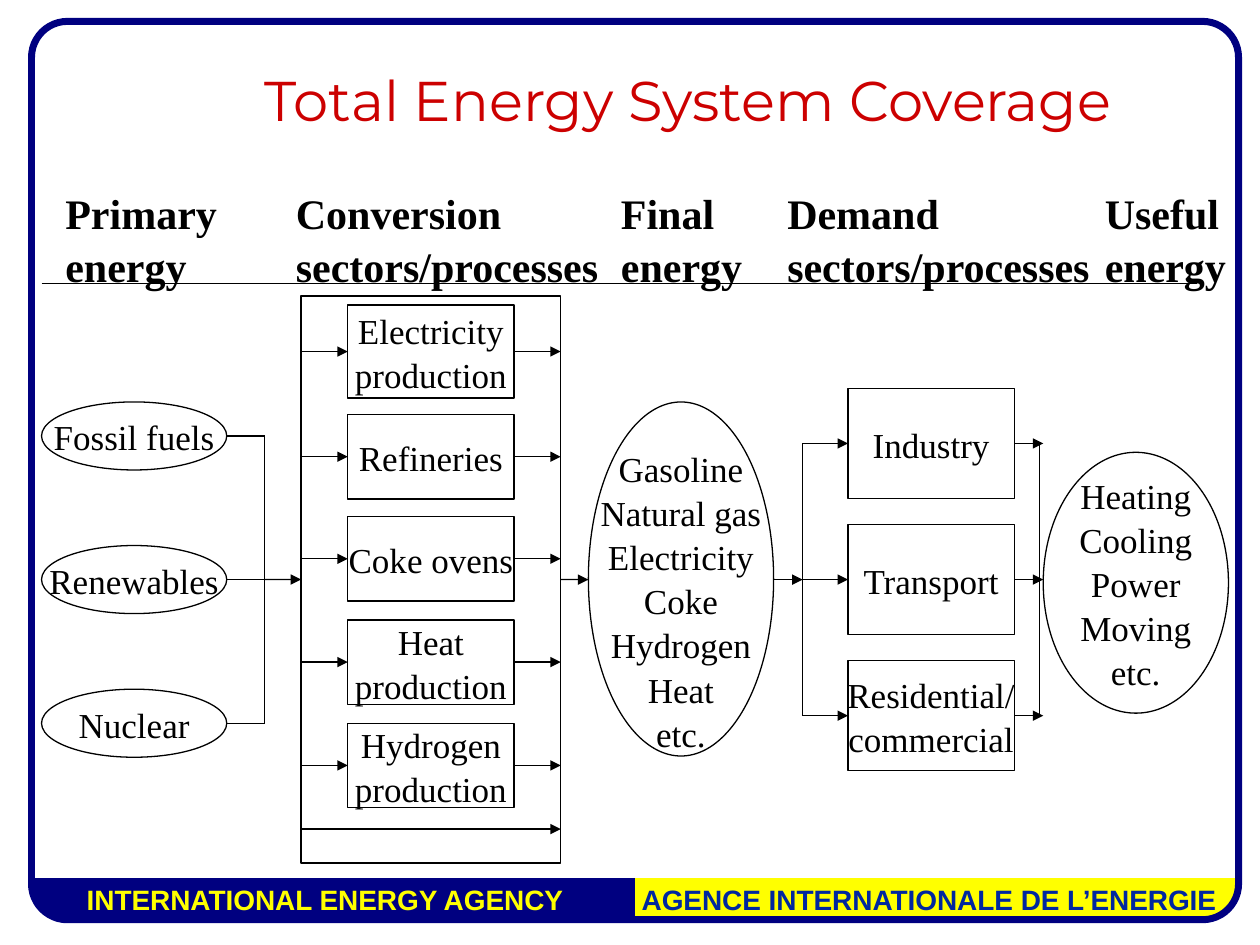
from lxml.etree import SubElement
from pptx import Presentation
from pptx.dml.color import RGBColor
from pptx.enum.shapes import MSO_CONNECTOR, MSO_SHAPE
from pptx.enum.text import MSO_ANCHOR, MSO_AUTO_SIZE, PP_ALIGN
from pptx.oxml.ns import qn
from pptx.util import Inches, Pt

TITLE = "Total Energy System Coverage"
HEADINGS = [
    (0.42, 1.48, "Primary\nenergy"),
    (2.25, 2.6, "Conversion\nsectors/processes"),
    (4.83, 1.16, "Final\nenergy"),
    (6.15, 2.6, "Demand\nsectors/processes"),
    (8.67, 1.16, "Useful\nenergy"),
]
PRIMARY = ["Fossil fuels", "Renewables", "Nuclear"]
CONVERSION = [
    ("Electricity\nproduction", 2.42, 0.74),
    ("Refineries", 3.29, 0.67),
    ("Coke ovens", 4.1, 0.67),
    ("Heat\nproduction", 4.92, 0.67),
    ("Hydrogen\nproduction", 5.74, 0.67),
]
FINAL = "Gasoline\nNatural gas\nElectricity\nCoke\nHydrogen\nHeat\netc."
DEMAND = ["Industry", "Transport", "Residential/\ncommercial"]
USEFUL = "Heating\nCooling\nPower\nMoving\netc."
AGENCY = [
    (0.57, 4.02, "INTERNATIONAL ENERGY AGENCY", "FFFF00"),
    (4.98, 4.79, "AGENCE INTERNATIONALE DE L’ENERGIE", "00279F"),
]

AXIS = 4.6
OVAL_W, OVAL_H, OVAL_PITCH = 1.47, 0.54, 1.14
BOX_W, DEMAND_H, DEMAND_PITCH = 1.32, 0.87, 1.08
PRIMARY_X, PRIMARY_BUS = 0.33, 2.1
FRAME_X, FRAME_W, FRAME_H = 2.39, 2.06, 4.5
FRAME_RIGHT = FRAME_X + FRAME_W
CONVERSION_X, FINAL_X, DEMAND_X, USEFUL_X = 2.76, 4.67, 6.73, 8.28
DEMAND_BUS, USEFUL_BUS = 6.37, 8.25
BAND_TOP, BAND_BOTTOM, BAND_MIDDLE = 6.97, 7.31, 5.04
BAND_EDGES = [(0.25, 1), (9.83, -1)]
BAND_COLORS = ["000080", "FFFF00"]

prs = Presentation()
prs.slide_width, prs.slide_height = Inches(10), Inches(7.5)
slide = prs.slides.add_slide(prs.slide_layouts[5])
shapes = slide.shapes


def color(value):
    return RGBColor.from_string(value)


def write(holder, text, size=20, font="Times New Roman", ink="000000", bold=False,
          align=PP_ALIGN.CENTER, anchor=MSO_ANCHOR.MIDDLE, wrap=False, spacing=1.05):
    frame = holder.text_frame
    frame.text = text
    frame.word_wrap = wrap
    frame.vertical_anchor = anchor
    for paragraph in frame.paragraphs:
        paragraph.alignment = align
        paragraph.line_spacing = spacing
        paragraph.font.size = Pt(size)
        paragraph.font.name = font
        paragraph.font.bold = bold
        paragraph.font.color.rgb = color(ink)


def write_box(left, top, width, height, text, **style):
    holder = shapes.add_textbox(*map(Inches, (left, top, width, height)))
    write(holder, text, **style)
    holder.text_frame.auto_size = MSO_AUTO_SIZE.SHAPE_TO_FIT_TEXT


def node(kind, left, top, width, height, text=""):
    item = shapes.add_shape(kind, *map(Inches, (left, top, width, height)))
    item.shadow.inherit = False
    item.fill.solid()
    item.fill.fore_color.rgb = color("FFFFFF")
    item.line.color.rgb = color("000000")
    item.line.width = Pt(0.75)
    if text:
        write(item, text)
    return item


def link(x1, y1, x2, y2, arrow=True, source=None, target=None):
    line = shapes.add_connector(MSO_CONNECTOR.STRAIGHT, *map(Inches, (x1, y1, x2, y2)))
    if source:
        line.begin_connect(source, 3)
    if target:
        line.end_connect(target, 1)
    line.line.color.rgb = color("000000")
    line.line.width = Pt(0.75)
    if arrow:
        SubElement(line.line._get_or_add_ln(), qn("a:tailEnd"), type="triangle")
    SubElement(line._element.spPr, qn("a:effectLst"))


title = shapes.title
title.left, title.top, title.width, title.height = map(Inches, (1.17, 0.33, 8.58, 0.92))
write(title, TITLE, size=32, font="Montserrat", ink="CC0000", wrap=True, spacing=1)

for left, width, heading in HEADINGS:
    write_box(left, 1.42, width, 0.9, heading, size=24, bold=True,
              align=PP_ALIGN.LEFT, anchor=MSO_ANCHOR.TOP)
link(0.33, 2.25, 9.5, 2.25, arrow=False)

conversion_frame = node(MSO_SHAPE.RECTANGLE, FRAME_X, AXIS - FRAME_H / 2, FRAME_W, FRAME_H)

for row, fuel in enumerate(PRIMARY):
    middle = AXIS + (row - 1) * OVAL_PITCH
    node(MSO_SHAPE.OVAL, PRIMARY_X, middle - OVAL_H / 2, OVAL_W, OVAL_H, fuel)
    link(PRIMARY_X + OVAL_W, middle, PRIMARY_BUS, middle, arrow=False)
link(PRIMARY_BUS, AXIS - OVAL_PITCH, PRIMARY_BUS, AXIS + OVAL_PITCH, arrow=False)
link(PRIMARY_BUS, AXIS, FRAME_X, AXIS, target=conversion_frame)

for process, top, height in CONVERSION:
    middle = top + height / 2
    process_box = node(MSO_SHAPE.RECTANGLE, CONVERSION_X, top, BOX_W, height, process)
    link(FRAME_X, middle, CONVERSION_X, middle, target=process_box)
    link(CONVERSION_X + BOX_W, middle, FRAME_RIGHT, middle, source=process_box)
link(FRAME_X, 6.58, FRAME_RIGHT, 6.58)

final_oval = node(MSO_SHAPE.OVAL, FINAL_X, 3.19, OVAL_W, 2.81, FINAL)
final_oval.text_frame.margin_top = Inches(0.38)
link(FRAME_RIGHT, AXIS, FINAL_X, AXIS, source=conversion_frame)
link(FINAL_X + OVAL_W, AXIS, DEMAND_BUS, AXIS)

for row, sector in enumerate(DEMAND):
    middle = AXIS + (row - 1) * DEMAND_PITCH
    sector_box = node(MSO_SHAPE.RECTANGLE, DEMAND_X, middle - DEMAND_H / 2,
                      BOX_W, DEMAND_H, sector)
    link(DEMAND_BUS, middle, DEMAND_X, middle, target=sector_box)
    link(DEMAND_X + BOX_W, middle, USEFUL_X, middle, source=sector_box)
for bus in (DEMAND_BUS, USEFUL_BUS):
    link(bus, AXIS - DEMAND_PITCH, bus, AXIS + DEMAND_PITCH, arrow=False)
node(MSO_SHAPE.OVAL, USEFUL_X, 3.59, OVAL_W, 2.07, USEFUL)

for (edge, inward), band_color in zip(BAND_EDGES, BAND_COLORS):
    outline = [(BAND_MIDDLE, BAND_BOTTOM), (edge + 0.23 * inward, BAND_BOTTOM),
               (edge + 0.08 * inward, 7.22), (edge, 7.06), (edge, BAND_TOP)]
    builder = shapes.build_freeform(Inches(BAND_MIDDLE), Inches(BAND_TOP))
    builder.add_line_segments([(Inches(x), Inches(y)) for x, y in outline])
    band = builder.convert_to_shape()
    band.shadow.inherit = False
    band.fill.solid()
    band.fill.fore_color.rgb = color(band_color)
    band.line.fill.background()
for left, width, name, ink in AGENCY:
    write_box(left, 6.95, width, 0.37, name, size=16, font="Arial", ink=ink,
              bold=True, spacing=1)

border = node(MSO_SHAPE.ROUNDED_RECTANGLE, 0.25, 0.17, 9.58, 7.13)
border.adjustments[0] = 0.04
border.fill.background()
border.line.color.rgb = color("000080")
border.line.width = Pt(4)

prs.save("out.pptx")
